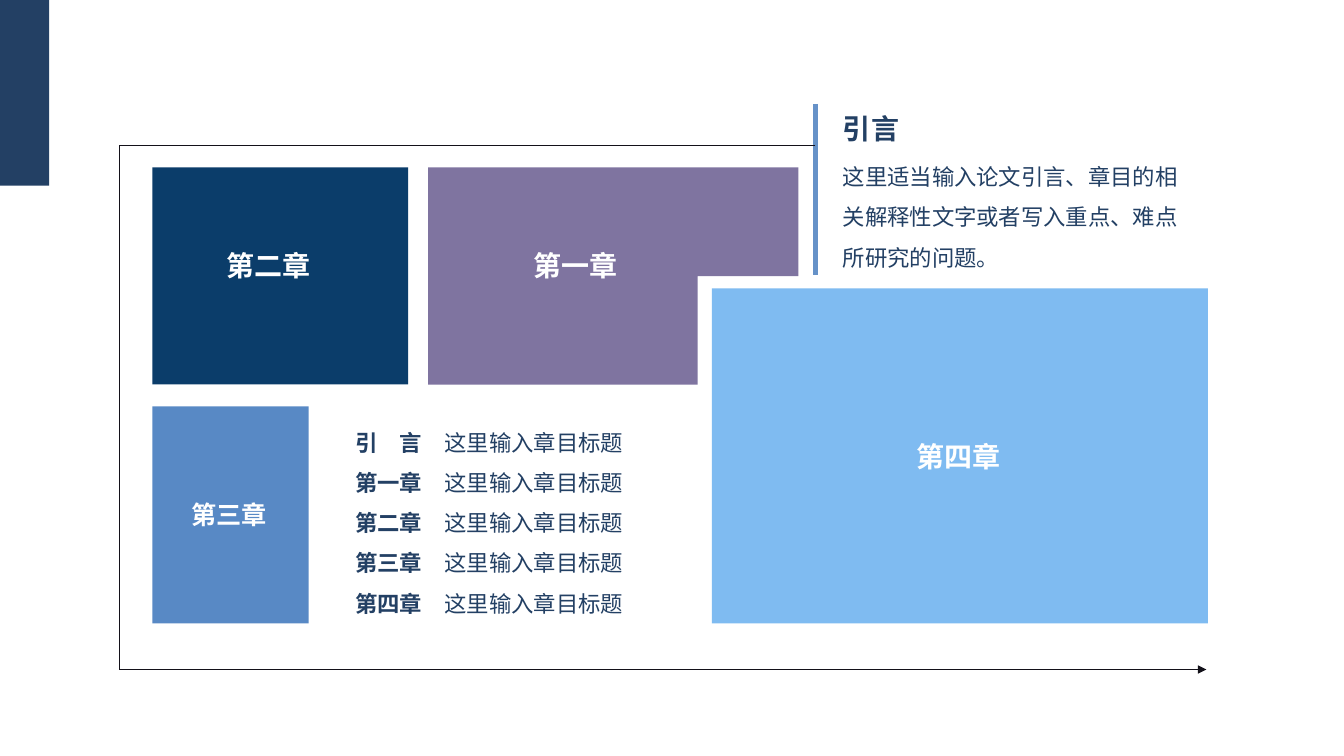
import pptx
import pptx.util
import pptx.dml.color
import pptx.enum.shapes
import pptx.enum.text
import pptx.oxml.ns
import lxml.etree

Cm, Pt = pptx.util.Cm, pptx.util.Pt
RGBColor = pptx.dml.color.RGBColor
MSO_SHAPE = pptx.enum.shapes.MSO_SHAPE
PP_ALIGN = pptx.enum.text.PP_ALIGN
qn = pptx.oxml.ns.qn

FONT = "Noto Sans CJK SC"
TEXT = RGBColor(0x23, 0x40, 0x64)
WHITE = RGBColor(0xFF, 0xFF, 0xFF)
INK = RGBColor(0x13, 0x11, 0x19)
BAR = RGBColor(0x66, 0x92, 0xC8)
PURPLE = RGBColor(0x7F, 0x74, 0xA0)
NAVY = RGBColor(0x0B, 0x3D, 0x6A)
BLUE = RGBColor(0x58, 0x89, 0xC5)
SKY = RGBColor(0x7F, 0xBB, 0xF1)


def fill_text(sp, box, paragraphs, size, color, bold=None, spacing=1.0):
    """Place a text shape; each paragraph is a list of (text, bold) runs."""
    sp.left, sp.top, sp.width, sp.height = [Cm(v) for v in box]
    tf = sp.text_frame
    tf.word_wrap = True
    tf.auto_size = pptx.enum.text.MSO_AUTO_SIZE.NONE
    tf.vertical_anchor = pptx.enum.text.MSO_ANCHOR.TOP
    for i, runs in enumerate(paragraphs):
        p = tf.add_paragraph() if i else tf.paragraphs[0]
        p.alignment = PP_ALIGN.LEFT
        p.line_spacing = spacing
        p.space_before = Pt(0)
        p.font.size = Pt(size)
        p.font.bold = bold
        p.font.color.rgb = color
        p.font.name = FONT
        ea = lxml.etree.SubElement(p._p.pPr.find(qn("a:defRPr")), qn("a:ea"))
        ea.set("typeface", FONT)
        for text, run_bold in runs:
            r = p.add_run()
            r.text = text
            if run_bold is not None:
                r.font.bold = run_bold


def add_line(start, end, color, width):
    line = s.shapes.add_connector(pptx.enum.shapes.MSO_CONNECTOR.STRAIGHT,
                                  *[Cm(v) for v in start + end])
    line.line.color.rgb = color
    line.line.width = Pt(width)
    lxml.etree.SubElement(line._element.spPr, qn("a:effectLst"))
    return line


prs = pptx.Presentation()
prs.slide_width, prs.slide_height = Cm(33.87), Cm(19.05)
s = prs.slides.add_slide(prs.slide_layouts[5])

# Chapter blocks, with a plain corner strip first
blocks = [
    (0, 0, 1.24, 4.68, TEXT),
    (3.84, 4.22, 6.45, 5.47, NAVY),
    (3.84, 10.24, 3.94, 5.47, BLUE),
    (17.94, 7.27, 12.5, 8.44, SKY),
]
shapes = []
for left, top, width, height, color in blocks:
    sp = s.shapes.add_shape(MSO_SHAPE.RECTANGLE, Cm(left), Cm(top), Cm(width), Cm(height))
    shapes.append((sp, color))

# First chapter: a block with a notch at the lower right
notched = [(20.12, 4.22), (20.12, 6.96), (17.58, 6.96), (17.58, 9.69), (10.79, 9.69)]
fb = s.shapes.build_freeform(Cm(10.79), Cm(4.22))
fb.add_line_segments([(Cm(x), Cm(y)) for x, y in notched], close=True)
shapes.append((fb.convert_to_shape(), PURPLE))

for sp, color in shapes:
    sp.shadow.inherit = False
    sp.fill.solid()
    sp.fill.fore_color.rgb = color
    sp.line.fill.background()

# Chapter labels
labels = [
    ("第一章", 13.2, 6.14, 20),
    ("第二章", 5.45, 6.14, 20),
    ("第三章", 4.57, 12.46, 18),
    ("第四章", 22.85, 10.95, 20),
]
for label, left, top, size in labels:
    sp = s.shapes.add_textbox(0, 0, 0, 0)
    fill_text(sp, (left, top, 2.8, 1.11), [[(label, None)]], size, WHITE, bold=True)

# Contents list
names = ["引　言", "第一章", "第二章", "第三章", "第四章"]
contents = [[(name, True), ("　这里输入章目标题", False)] for name in names]
fill_text(s.shapes.add_textbox(0, 0, 0, 0), (8.7, 10.34, 8.28, 5.38),
          contents, 16, TEXT, spacing=1.5)

# Introduction: heading, text and side bar
fill_text(s.shapes.title, (20.99, 2.67, 2.6, 1.11), [[("引言", None)]], 20, TEXT, bold=True)
intro = "这里适当输入论文引言、章目的相关解释性文字或者写入重点、难点所研究的问题。"
fill_text(s.shapes.add_textbox(0, 0, 0, 0), (20.99, 3.65, 9.45, 3.33),
          [[(intro, None)]], 16, TEXT, spacing=1.5)
add_line((20.55, 2.62), (20.55, 6.93), BAR, 3)

# Frame running around the blocks to an arrowhead
corners = [(20.55, 3.67), (3, 3.67), (3, 16.87), (30.4, 16.87)]
for start, end in zip(corners, corners[1:]):
    line = add_line(start, end, INK, 0.5)
tail = lxml.etree.SubElement(line.line._get_or_add_ln(), qn("a:tailEnd"))
tail.set("type", "triangle")

prs.save("out.pptx")
